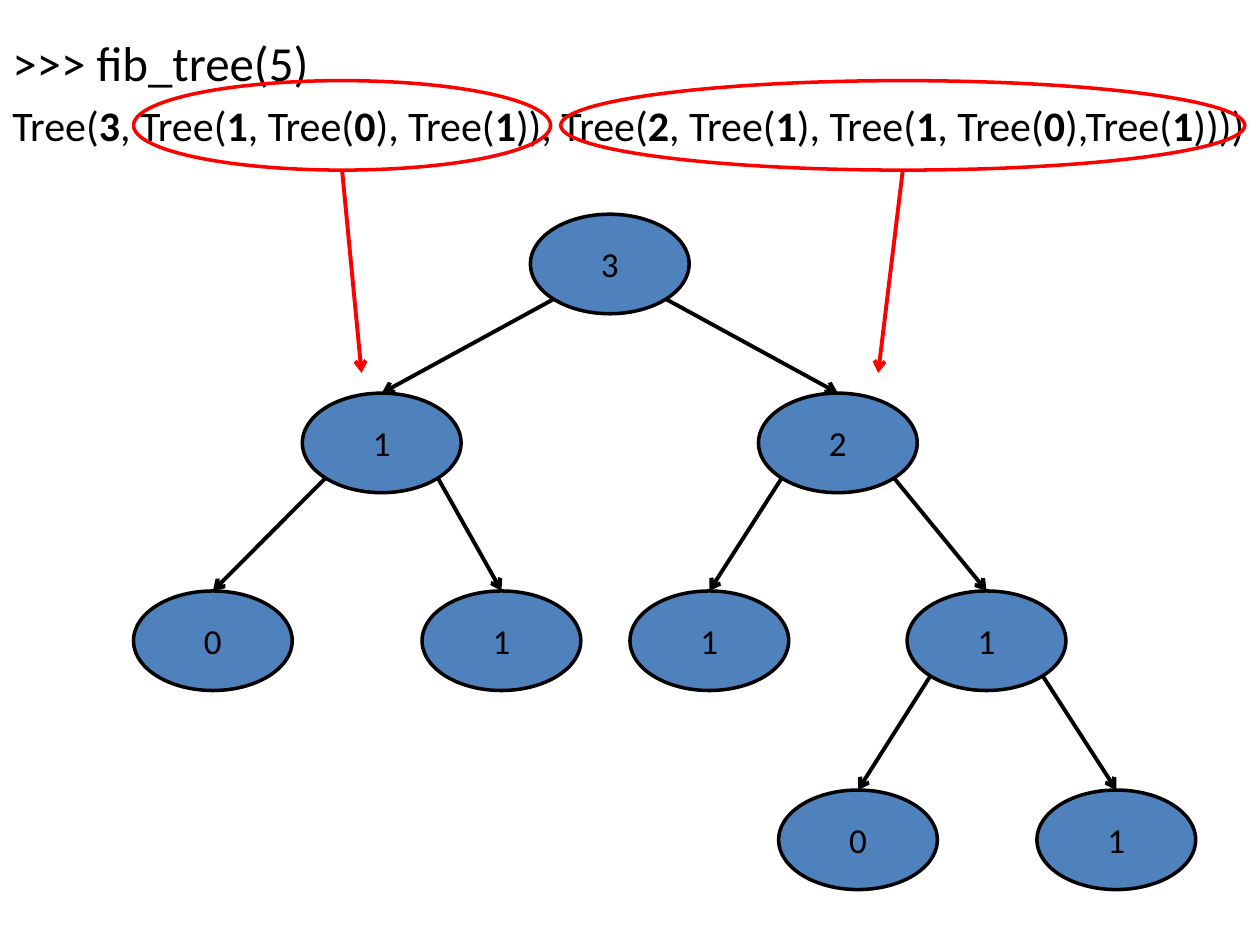
from itertools import groupby
from math import sqrt

from lxml import etree
from pptx import Presentation
from pptx.dml.color import RGBColor
from pptx.enum.shapes import MSO_CONNECTOR, MSO_SHAPE
from pptx.enum.text import MSO_ANCHOR, PP_ALIGN
from pptx.oxml.ns import qn
from pptx.util import Inches, Pt

OVAL = MSO_SHAPE.OVAL
STRAIGHT = MSO_CONNECTOR.STRAIGHT
MIDDLE = MSO_ANCHOR.MIDDLE
CENTER = PP_ALIGN.CENTER

FONT = "Calibri"
BLACK, RED, BLUE = "000000", "FF0000", "4F81BD"

CALL = ">>> fib_tree(5)"
RESULT = ("Tree(3, Tree(1, Tree(0), Tree(1)), "
          "Tree(2, Tree(1), Tree(1, Tree(0),Tree(1))))")

# Each node: value, left edge, children
TREE = ("3", 4.21, [
    ("1", 2.40, [("0", 1.06, []), ("1", 3.35, [])]),
    ("2", 6.02, [
        ("1", 5.00, []),
        ("1", 7.20, [("0", 6.18, []), ("1", 8.23, [])]),
    ]),
])
LEVEL_TOPS = [1.70, 3.12, 4.69, 6.27]
NODE_WIDTH, NODE_HEIGHT = 1.26, 0.79
DIAGONAL = sqrt(0.5) / 2  # offset of an ellipse's 45-degree point

# Each highlight: left edge, width, arrow tip x
HIGHLIGHTS = [(1.06, 3.31, 2.87), (4.45, 5.43, 6.97)]
HIGHLIGHT_TOP, HIGHLIGHT_HEIGHT, TIP_Y = 0.64, 0.71, 2.96


def color(value):
    """Turn a hex string into a colour."""
    return RGBColor.from_string(value)


def add_span(para, text, size, bold=False):
    """Append one formatted run to a paragraph."""
    span = para.add_run()
    span.text = text
    span.font.name = FONT
    span.font.size = Pt(size)
    span.font.bold = bold
    span.font.color.rgb = color(BLACK)


def add_code(page):
    """Write the call and its result, with the digits of the result bold."""
    box = page.shapes.add_textbox(0, Inches(0.21), Inches(10), Inches(1.73))
    frame = box.text_frame
    frame.word_wrap = True
    frame.margin_right = 0
    call = frame.paragraphs[0]
    call.space_before = Pt(5.6)
    add_span(call, CALL, 28)
    result = frame.add_paragraph()
    result.space_before = Pt(4.8)
    for is_digit, letters in groupby(RESULT, str.isdigit):
        add_span(result, "".join(letters), 24, is_digit)


def add_arrow(page, start, end, line_color):
    """Draw a straight arrow between two points in inches."""
    arrow = page.shapes.add_connector(
        STRAIGHT, *(Inches(value) for value in (*start, *end)))
    arrow.line.color.rgb = color(line_color)
    arrow.line.width = Pt(2.25)
    etree.SubElement(arrow.line._get_or_add_ln(), qn("a:tailEnd"), type="arrow")
    etree.SubElement(arrow._element.spPr, qn("a:effectLst"))


def add_oval(page, left, top, width, height, line_color, fill=None):
    """Draw an ellipse, hollow unless a fill is given."""
    oval = page.shapes.add_shape(
        OVAL, *(Inches(value) for value in (left, top, width, height)))
    oval.shadow.inherit = False
    oval.line.color.rgb = color(line_color)
    oval.line.width = Pt(2)
    if fill:
        oval.fill.solid()
        oval.fill.fore_color.rgb = color(fill)
    else:
        oval.fill.background()
    return oval


def add_branches(page, node, level=0):
    """Draw the arrows from a node to its children, all the way down."""
    _, left, children = node
    middle = left + NODE_WIDTH / 2
    start_y = LEVEL_TOPS[level] + NODE_HEIGHT * (0.5 + DIAGONAL)
    for child in children:
        side = 1 if child[1] > left else -1
        start = (middle + side * NODE_WIDTH * DIAGONAL, start_y)
        end = (child[1] + NODE_WIDTH / 2, LEVEL_TOPS[level + 1])
        add_arrow(page, start, end, BLACK)
        add_branches(page, child, level + 1)


def add_nodes(page, node, level=0):
    """Draw a node and everything below it."""
    value, left, children = node
    oval = add_oval(page, left, LEVEL_TOPS[level], NODE_WIDTH, NODE_HEIGHT,
                    BLACK, BLUE)
    oval.text_frame.vertical_anchor = MIDDLE
    para = oval.text_frame.paragraphs[0]
    para.alignment = CENTER
    add_span(para, value, 20)
    for child in children:
        add_nodes(page, child, level + 1)


def add_highlights(page):
    """Circle each subtree in the code and point to where it is drawn."""
    bottom = HIGHLIGHT_TOP + HIGHLIGHT_HEIGHT
    for left, width, tip_x in HIGHLIGHTS:
        add_oval(page, left, HIGHLIGHT_TOP, width, HIGHLIGHT_HEIGHT, RED)
        add_arrow(page, (left + width / 2, bottom), (tip_x, TIP_Y), RED)


deck = Presentation()
deck.slide_width, deck.slide_height = Inches(10), Inches(7.5)
page = deck.slides.add_slide(deck.slide_layouts[6])
add_code(page)
add_branches(page, TREE)
add_highlights(page)
add_nodes(page, TREE)
deck.save("out.pptx")
